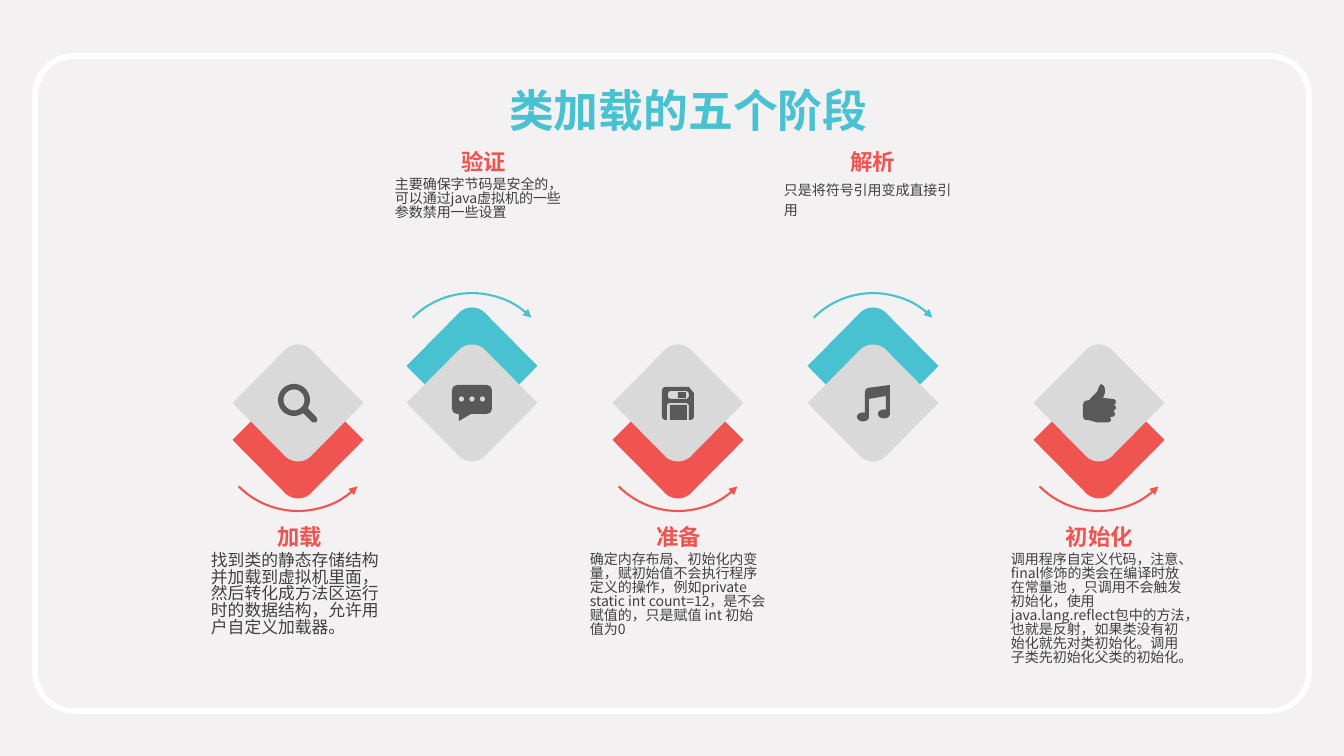
"""Build the slide on the five stages of class loading."""
import math

from lxml import etree
from pptx import Presentation
from pptx.dml.color import RGBColor
from pptx.enum import shapes, text
from pptx.oxml import ns
from pptx.util import Pt

PX = 914400 / 100.8
FONT = "Noto Sans CJK SC"
COLOURS = {"ground": "F3F1F2", "white": "FFFFFF", "red": "EF5450", "blue": "48C2D1",
           "grey": "D9D9D9", "icon": "595959", "body": "404040"}
COLOURS = {name: RGBColor.from_string(code) for name, code in COLOURS.items()}

deck = Presentation()
deck.slide_width, deck.slide_height = round(1344 * PX), round(756 * PX)
page = deck.slides.add_slide(deck.slide_layouts[5])
page.background.fill.solid()
page.background.fill.fore_color.rgb = COLOURS["ground"]


def write(para, words, size, colour, bold=False, align=text.PP_ALIGN.LEFT, spacing=None, before=0):
    para.alignment, para.line_spacing, para.space_before = align, spacing, Pt(before)
    span = para.add_run()
    span.text = words
    span.font.size, span.font.bold, span.font.name = Pt(size), bold, FONT
    span.font.color.rgb = COLOURS[colour]
    etree.SubElement(span.font._element, ns.qn("a:ea"), typeface=FONT)


def outline(contours, x, y, colour):
    pen = None
    for contour in contours:
        points = [((x + dx) * 10, (y + dy) * 10) for dx, dy in contour]
        if pen is None:
            pen = page.shapes.build_freeform(*points[0], scale=PX / 10)
        else:
            pen.move_to(*points[0])
        pen.add_line_segments(points[1:], close=True)
    figure = pen.convert_to_shape()
    figure.shadow.inherit = False
    figure.fill.solid()
    figure.fill.fore_color.rgb = COLOURS[colour]
    figure.line.fill.background()


frame = page.shapes.add_shape(shapes.MSO_SHAPE.ROUNDED_RECTANGLE,
                              *[round(n * PX) for n in (35, 56, 1274, 655)])
frame.adjustments[0] = 0.06
frame.shadow.inherit = False
frame.fill.background()
frame.line.color.rgb = COLOURS["white"]
frame.line.width = Pt(4)

title = page.shapes.title
title.left, title.top, title.width, title.height = [round(n * PX) for n in (470, 77, 437, 65)]
title.text_frame.vertical_anchor = text.MSO_ANCHOR.MIDDLE
write(title.text_frame.paragraphs[0], "类加载的五个阶段", 32, "blue", bold=True,
      align=text.PP_ALIGN.CENTER)

circle = [(math.cos(math.radians(a)), math.sin(math.radians(a))) for a in range(0, 360, 10)]

bend = []
for step in range(13):
    t = step / 12
    bend.append((-15 * (1 - t) ** 3 - 21 * t * (1 - t) ** 2 + 21 * t ** 2 * (1 - t) + 15 * t ** 3,
                 -51 - 30 * t * (1 - t)))
diamond = [(-65.5, 0)] + bend + [(65.5, 0)] + [(-x, -y) for x, y in bend]

handle = [(5.4, 10.3), (14.5, 19.4), (18, 19.5), (19.5, 17), (18.5, 14.3), (10.4, 6)]
rim = circle[4:5:-1] + circle[3::-1] + circle[:5:-1]
magnifier = [handle + [(-4 + 16 * c, -3 + 16 * s) for c, s in rim],
             [(-4 + 10.5 * c, -3 + 10.5 * s) for c, s in circle]]
bubble = [[(-20, -13), (-18.5, -16.5), (-15, -18), (15, -18), (18.5, -16.5), (20, -13),
           (20, 6), (18.5, 9.5), (15, 11), (-1, 11), (-13, 18), (-13, 11), (-15, 11),
           (-18.5, 9.5), (-20, 6)]]
bubble += [[(x + 2.6 * c, -4 + 2.6 * s) for c, s in circle] for x in (-10.5, 0, 10.5)]
floppy = [[(-16, -13), (-15, -15), (-13, -16), (11, -16), (16, -10), (16, 14), (15, 16),
           (13, 17), (11, 17), (11, 2), (9, 0), (-9, 0), (-11, 2), (-11, 17), (-13, 17),
           (-15, 16), (-16, 14)],
          [(-10, -10), (-8, -12), (9, -12), (11, -10), (11, -6), (9, -4), (-8, -4), (-10, -6)]]
note = [[(-5, -15), (-7, -14), (-8, -11), (-8, 10)]
        + [(-10 + 6 * c, 14 + 4.5 * s) for c, s in circle[29::-1]]
        + [(-4, -4), (13, -7), (13, 7)]
        + [(11 + 6 * c, 11 + 4.5 * s) for c, s in circle[29::-1]] + [(17, -18)]]
thumb = [[(-16, 14), (-14, 17), (-11, 17), (-7, 18), (-2, 19.5), (9, 19.5), (12, 18), (12, 16),
          (11, 14), (13, 14), (15.5, 13), (16, 11), (15.5, 9), (14, 8), (16, 7), (17, 5),
          (16.5, 3), (15, 2), (17, 0), (16.5, -3), (14, -4), (4, -5), (6, -10), (6, -14),
          (5, -17), (2, -19), (0, -16), (-2, -11), (-7, -6), (-9.5, -3), (-14, -2), (-16, 1)]]

stages = [
    (298, "red", magnifier, 211, 133, "加载", 12,
     "找到类的静态存储结构并加载到虚拟机里面，然后转化成方法区运行时的数据结构，允许用户自定义加载器。"),
    (472, "blue", bubble, 395, 82, "验证", 10,
     "主要确保字节码是安全的，可以通过java虚拟机的一些参数禁用一些设置"),
    (678, "red", floppy, 590, 132, "准备", 10,
     "确定内存布局、初始化内变量，赋初始值不会执行程序定义的操作，例如private static int count=12，"
     "是不会赋值的，只是赋值 int 初始值为0"),
    (873, "blue", note, 784, 75, "解析", 10, "只是将符号引用变成直接引用"),
    (1099, "red", thumb, 1011, 166, "初始化", 10,
     "调用程序自定义代码，注意、final修饰的类会在编译时放在常量池 ，只调用不会触发初始化，"
     "使用java.lang.reflect包中的方法，也就是反射，如果类没有初始化就先对类初始化。"
     "调用子类先初始化父类的初始化。"),
]
for x, colour, icon, left, height, name, size, words in stages:
    low = colour == "red"
    outline([diamond], x, 440 if low else 366, colour)
    outline([diamond], x, 403, "grey")
    outline(icon, x, 403, "icon")

    arc = page.shapes.add_shape(shapes.MSO_SHAPE.ARC, round((x - 84) * PX),
                                round((343 if low else 293) * PX), round(168 * PX), round(168 * PX))
    arc.rotation = 135 if low else 225
    if not low:
        arc._element.spPr.xfrm.set("flipV", "1")
    arc.shadow.inherit = False
    arc.fill.background()
    arc.line.color.rgb = COLOURS[colour]
    arc.line.width = Pt(1.5)
    etree.SubElement(arc.line._get_or_add_ln(), ns.qn("a:headEnd"), type="triangle")

    box = page.shapes.add_textbox(*[round(n * PX) for n in (left, 528 if low else 153, 177, height)])
    body = box.text_frame
    body.word_wrap = True
    body.auto_size = text.MSO_AUTO_SIZE.SHAPE_TO_FIT_TEXT
    body.margin_left = body.margin_top = body.margin_right = body.margin_bottom = 0
    write(body.paragraphs[0], name, 16, "red", bold=True, align=text.PP_ALIGN.CENTER, spacing=0.83)
    write(body.add_paragraph(), words, size, "body", spacing=1.2 if name == "解析" else 0.83, before=2)

for dx, dy, width, height in ((-8, 2, 17, 15), (0, -11, 8, 6)):
    plate = page.shapes.add_shape(shapes.MSO_SHAPE.RECTANGLE,
                                  *[round(n * PX) for n in (678 + dx, 403 + dy, width, height)])
    plate.shadow.inherit = False
    plate.fill.solid()
    plate.fill.fore_color.rgb = COLOURS["icon"]
    plate.line.fill.background()

deck.save("out.pptx")
